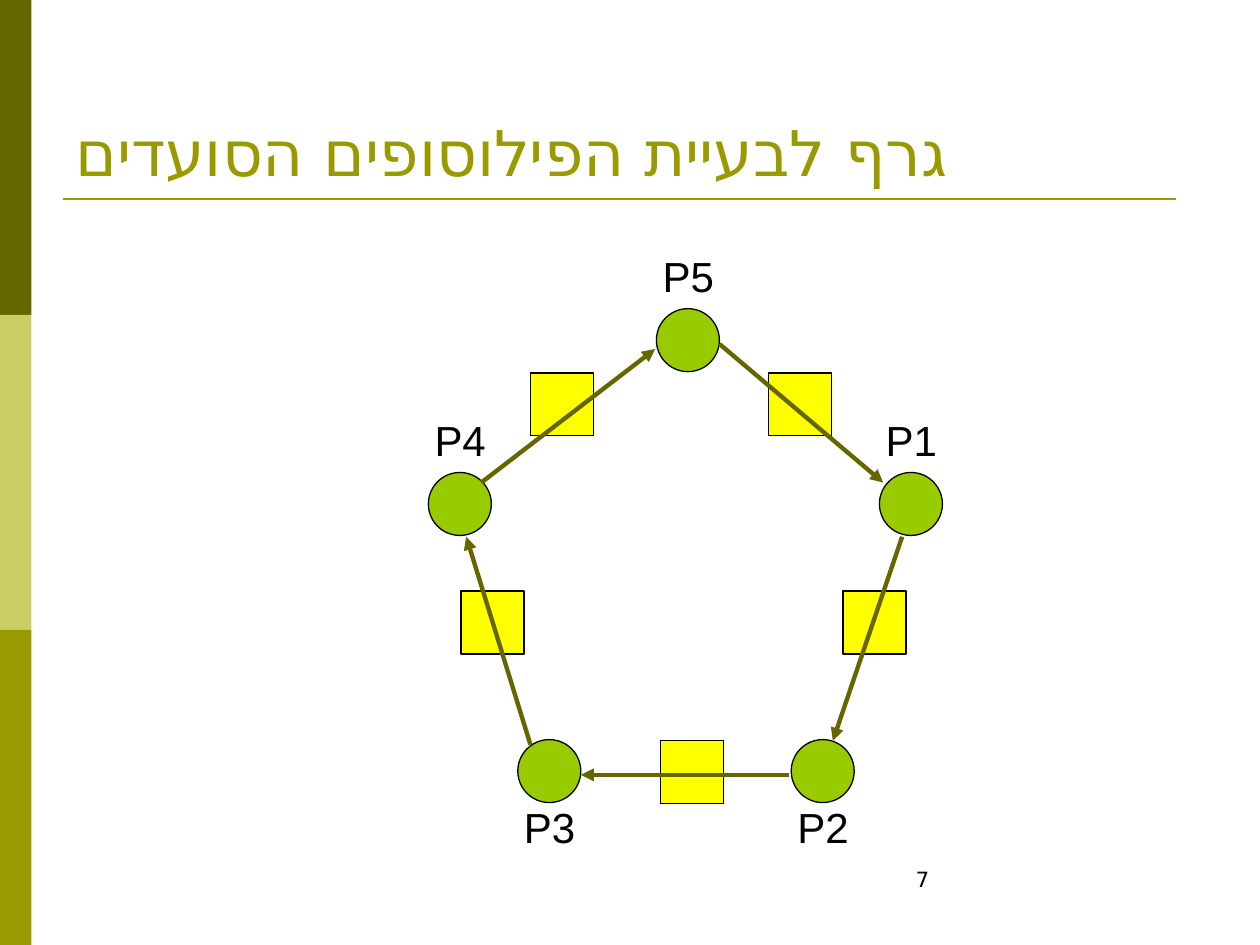
from pptx import Presentation
from pptx.dml.color import RGBColor
from pptx.enum.shapes import MSO_CONNECTOR as CONNECTOR, MSO_SHAPE as SHAPE
from pptx.enum.text import MSO_ANCHOR as ANCHOR, PP_ALIGN as ALIGN
from pptx.oxml.ns import qn
from pptx.util import Inches, Pt
from lxml import etree


def color(value):
    return RGBColor.from_string(value)


class GraphSlide:
    """Draws styled elements on the current slide."""

    DARK, LIGHT, OLIVE = "666600", "CCCC66", "999900"
    GREEN, YELLOW, BLACK = "99CC00", "FFFF00", "000000"
    NODE_SIZE = 0.5

    def __init__(self, presentation):
        self.slide = presentation.slides.add_slide(presentation.slide_layouts[6])

    def shape(self, kind, left, top, width, height, fill, outlined=False):
        shape = self.slide.shapes.add_shape(
            kind, Inches(left), Inches(top), Inches(width), Inches(height))
        shape.shadow.inherit = False
        shape.fill.solid()
        shape.fill.fore_color.rgb = color(fill)
        if outlined:
            shape.line.color.rgb = color(self.BLACK)
            shape.line.width = Pt(0.75)
        else:
            shape.line.fill.background()

    def node(self, kind, left, top, fill):
        self.shape(kind, left, top, self.NODE_SIZE, self.NODE_SIZE, fill, True)

    def line(self, start, end, stroke, width, arrow=False):
        connector = self.slide.shapes.add_connector(
            CONNECTOR.STRAIGHT, *map(Inches, (*start, *end)))
        connector.line.color.rgb = color(stroke)
        connector.line.width = Pt(width)
        if arrow:
            etree.SubElement(connector.line._get_or_add_ln(), qn("a:tailEnd"), type="triangle")
        etree.SubElement(connector._element.spPr, qn("a:effectLst"))

    def text(self, words, left, top, width, height, size, font="Arial", fill=BLACK,
             wrap=True, anchor=ANCHOR.TOP, complex_font=None):
        box = self.slide.shapes.add_textbox(
            Inches(left), Inches(top), Inches(width), Inches(height))
        frame = box.text_frame
        frame.word_wrap = wrap
        frame.vertical_anchor = anchor
        paragraph = frame.paragraphs[0]
        paragraph.alignment = ALIGN.LEFT
        run = paragraph.add_run()
        run.text = words
        run.font.size = Pt(size)
        run.font.name = font
        run.font.color.rgb = color(fill)
        if complex_font:
            paragraph._p.get_or_add_pPr().set("rtl", "1")
            properties = run._r.get_or_add_rPr()
            properties.set("lang", "he-IL")
            etree.SubElement(properties, qn("a:cs"), typeface=complex_font)

    def philosopher(self, name, left, top, label_offset):
        self.node(SHAPE.OVAL, left, top, self.GREEN)
        self.text(name, left - 0.05, top + label_offset, 0.61, 0.5, 24, wrap=False)


def main():
    presentation = Presentation()
    presentation.slide_width, presentation.slide_height = Inches(10), Inches(7.5)
    graph = GraphSlide(presentation)

    for index, fill in enumerate((graph.DARK, graph.LIGHT, graph.OLIVE)):
        graph.shape(SHAPE.RECTANGLE, 0, 2.5 * index, 0.25, 2.5, fill)
    graph.line((0.5, 1.58), (9.33, 1.58), graph.OLIVE, 1.5)
    graph.text("גרף לבעיית הפילוסופים הסועדים", 0.5, 0.3, 9, 1.25, 36, "Times New Roman",
               graph.OLIVE, anchor=ANCHOR.BOTTOM, complex_font="DejaVu Sans")

    forks = [(6.69, 4.69), (4.21, 2.96), (3.66, 4.69), (5.24, 5.88), (6.1, 2.96)]
    for left, top in forks:
        graph.node(SHAPE.RECTANGLE, left, top, graph.YELLOW)

    above, below = -0.51, 0.44
    philosophers = [
        ("P5", 5.21, 2.45, above),
        ("P4", 3.4, 3.75, above),
        ("P1", 6.98, 3.75, above),
        ("P3", 4.11, 5.87, below),
        ("P2", 6.28, 5.87, below),
    ]
    for philosopher in philosophers:
        graph.philosopher(*philosopher)

    arrows = [
        ((5.71, 2.73), (7.01, 3.83)),
        ((7.16, 4.26), (6.61, 5.88)),
        ((6.26, 6.15), (4.61, 6.15)),
        ((4.21, 5.91), (3.7, 4.26)),
        ((3.82, 3.83), (5.2, 2.77)),
    ]
    for start, end in arrows:
        graph.line(start, end, graph.DARK, 2.5, arrow=True)

    graph.text("7", 7.17, 6.83, 2.33, 0.5, 12, "DejaVu Sans")
    presentation.save("out.pptx")


if __name__ == "__main__":
    main()
